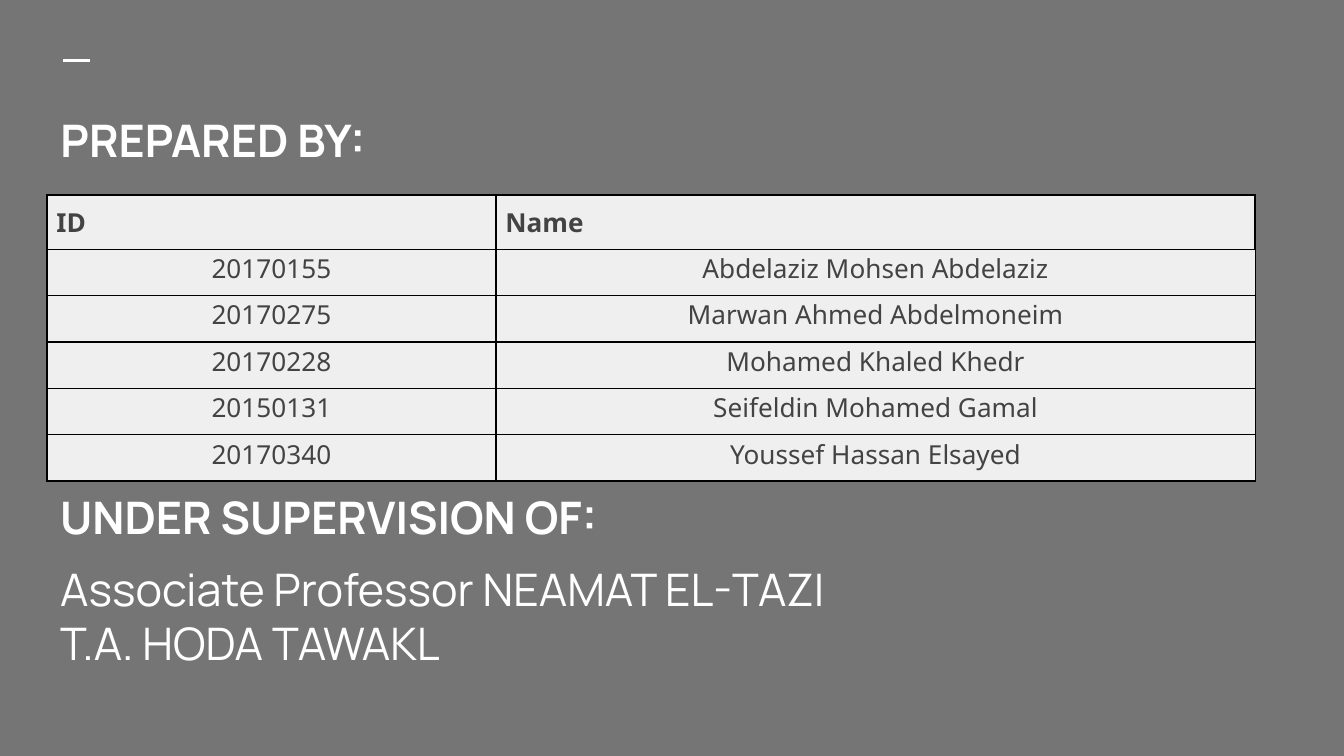
"""Build a team slide with a member table and the supervisors."""
import pptx
import pptx.dml.color
import pptx.enum.shapes
import pptx.enum.text
import pptx.oxml
import pptx.oxml.ns
import pptx.util
from lxml import etree

RGBColor = pptx.dml.color.RGBColor
Inches, Pt = pptx.util.Inches, pptx.util.Pt
PP_ALIGN, MSO_ANCHOR = pptx.enum.text.PP_ALIGN, pptx.enum.text.MSO_ANCHOR

TITLE = "PREPARED BY:"
MEMBERS = [
    ("ID", "Name"),
    ("20170155", "Abdelaziz Mohsen Abdelaziz"),
    ("20170275", "Marwan Ahmed Abdelmoneim"),
    ("20170228", "Mohamed Khaled Khedr"),
    ("20150131", "Seifeldin Mohamed Gamal"),
    ("20170340", "Youssef Hassan Elsayed"),
]
SUPERVISION = [
    ("UNDER SUPERVISION OF:", True, 0),
    ("Associate Professor NEAMAT EL-TAZI", False, 10),
    ("T.A. HODA TAWAKL", False, 0),
]

GREY = RGBColor(0x75, 0x75, 0x75)
WHITE = RGBColor(0xFF, 0xFF, 0xFF)
BLACK = RGBColor(0x00, 0x00, 0x00)
PALE = RGBColor(0xEF, 0xEF, 0xEF)
DARK = RGBColor(0x43, 0x43, 0x43)
HEADING_FONT, TABLE_FONT = "Manrope", "Noto Sans"

WIDTH = 10
HEIGHT = WIDTH * 9 / 16
LEFT, TEXT_WIDTH = 0.35, 9
TITLE_TOP, TABLE_TOP, SUPERVISION_TOP = 0.63, 1.45, 3.37
COLUMNS = (3.34, 5.65)
HEADER_HEIGHT, ROW_HEIGHT = 0.37, 0.31


def add_run(p, text, font, size, color, bold):
    r = p.add_run()
    r.text = text
    r.font.name, r.font.size, r.font.bold = font, Pt(size), bold
    r.font.color.rgb = color


def place(s, top, height):
    s.left, s.top = Inches(LEFT), Inches(top)
    s.width, s.height = Inches(TEXT_WIDTH), Inches(height)
    tf = s.text_frame
    tf.word_wrap = True
    tf.auto_size = pptx.enum.text.MSO_AUTO_SIZE.NONE
    tf.vertical_anchor = MSO_ANCHOR.MIDDLE
    tf.margin_left = tf.margin_right = tf.margin_top = tf.margin_bottom = Inches(0.1)
    return tf


def add_borders(cell, header):
    props = cell._tc.get_or_add_tcPr()
    for i, side in enumerate("LRTB"):
        width = 1 if header and side != "B" else 0.75
        props.insert(i, pptx.oxml.parse_xml(
            f'<a:ln{side} {pptx.oxml.ns.nsdecls("a")} w="{Pt(width)}">'
            f'<a:solidFill><a:srgbClr val="{BLACK}"/></a:solidFill></a:ln{side}>'))


def fill_cell(cell, text, header):
    side = Inches(0.07 if header else 0.01)
    cell.margin_left = cell.margin_right = cell.margin_top = side
    cell.margin_bottom = Inches(0.07)
    cell.vertical_anchor = MSO_ANCHOR.TOP if header else MSO_ANCHOR.MIDDLE
    cell.fill.solid()
    cell.fill.fore_color.rgb = PALE
    add_borders(cell, header)
    p = cell.text_frame.paragraphs[0]
    p.alignment = PP_ALIGN.LEFT if header else PP_ALIGN.CENTER
    add_run(p, text, TABLE_FONT, 14, DARK, header)


def add_dash(slide):
    s = slide.shapes.add_connector(
        pptx.enum.shapes.MSO_CONNECTOR.STRAIGHT,
        Inches(0.47), Inches(0.45), Inches(0.67), Inches(0.45))
    s.line.color.rgb, s.line.width = WHITE, Pt(1.5)
    etree.SubElement(s._element.spPr, pptx.oxml.ns.qn("a:effectLst"))


def add_supervision(slide):
    tf = place(slide.shapes.add_textbox(0, 0, 0, 0), SUPERVISION_TOP, 1.88)
    for i, (text, bold, before) in enumerate(SUPERVISION):
        p = tf.add_paragraph() if i else tf.paragraphs[0]
        p.space_before = Pt(before)
        add_run(p, text, HEADING_FONT, 24, WHITE, bold)


def add_members(slide):
    height = HEADER_HEIGHT + ROW_HEIGHT * (len(MEMBERS) - 1)
    table = slide.shapes.add_table(
        len(MEMBERS), len(COLUMNS), Inches(LEFT), Inches(TABLE_TOP),
        Inches(sum(COLUMNS)), Inches(height)).table
    for column, width in zip(table.columns, COLUMNS):
        column.width = Inches(width)
    for i, member in enumerate(MEMBERS):
        table.rows[i].height = Inches(ROW_HEIGHT if i else HEADER_HEIGHT)
        for j, text in enumerate(member):
            fill_cell(table.cell(i, j), text, i == 0)


def main():
    prs = pptx.Presentation()
    prs.slide_width, prs.slide_height = Inches(WIDTH), Inches(HEIGHT)
    slide = prs.slides.add_slide(prs.slide_layouts[5])
    slide.background.fill.solid()
    slide.background.fill.fore_color.rgb = GREY
    add_dash(slide)
    add_supervision(slide)
    add_members(slide)
    p = place(slide.shapes.title, TITLE_TOP, 0.82).paragraphs[0]
    p.alignment = PP_ALIGN.LEFT
    add_run(p, TITLE, HEADING_FONT, 24, WHITE, True)
    prs.save("out.pptx")


if __name__ == "__main__":
    main()
